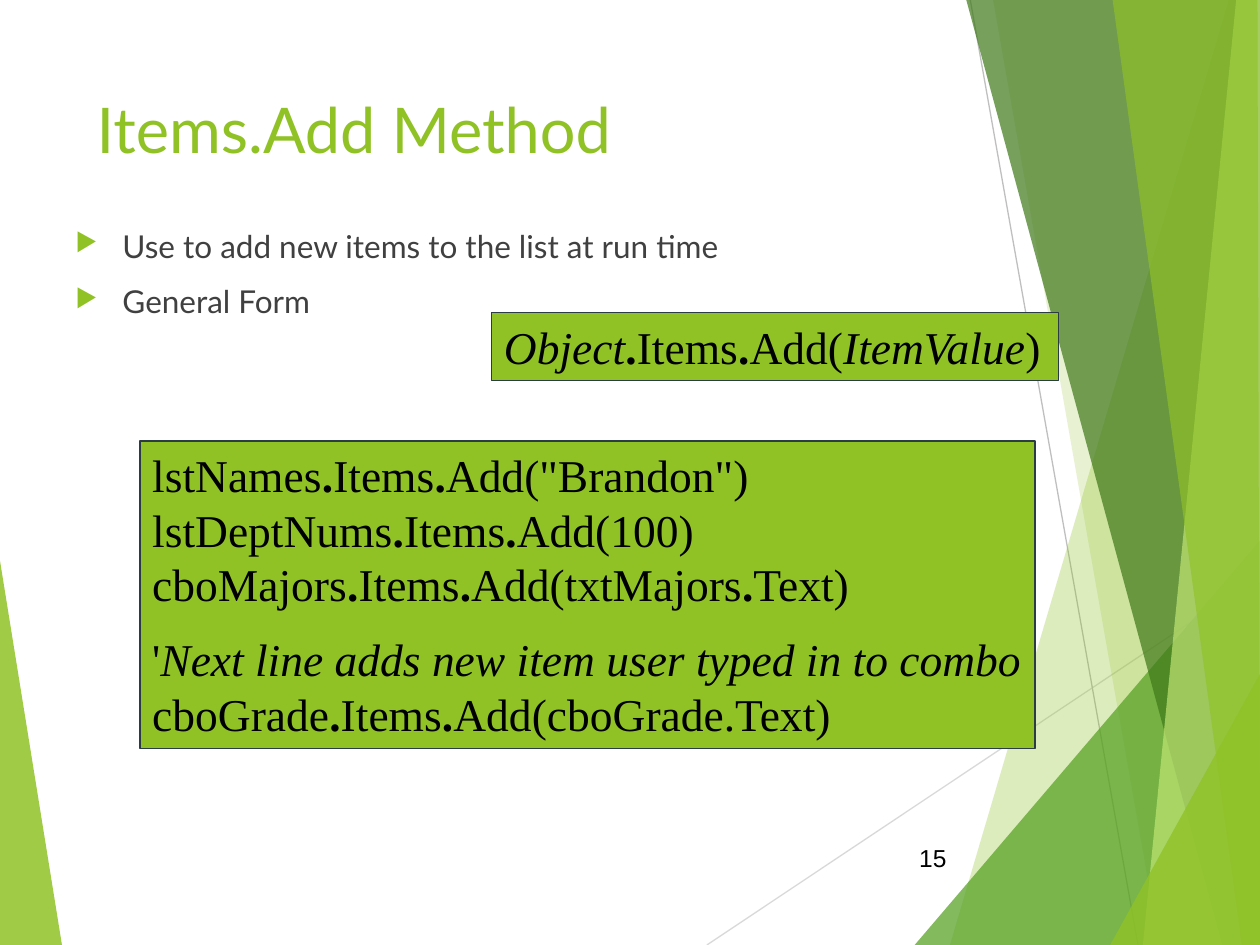
from dataclasses import dataclass
from typing import NamedTuple

from lxml import etree
from pptx import Presentation
from pptx.dml.color import RGBColor
from pptx.enum.shapes import MSO_CONNECTOR, MSO_SHAPE
from pptx.enum.text import MSO_ANCHOR, PP_ALIGN
from pptx.oxml.ns import qn
from pptx.util import Cm, Pt

STRAIGHT = MSO_CONNECTOR.STRAIGHT
RECTANGLE = MSO_SHAPE.RECTANGLE
TOP, MIDDLE = MSO_ANCHOR.TOP, MSO_ANCHOR.MIDDLE
LEFT, RIGHT = PP_ALIGN.LEFT, PP_ALIGN.RIGHT
W, H = 25.4, 19.05


@dataclass(frozen=True)
class Theme:
    lime: str = "90C226"
    green: str = "54A021"
    forest: str = "3F7819"
    pale: str = "C0E474"
    light_rule: str = "D9D9D9"
    dark_rule: str = "BFBFBF"
    border: str = "2C3C43"
    body: str = "404040"
    black: str = "000000"
    sans: str = "Lato"
    serif: str = "Times New Roman"
    number_font: str = "Arial"
    title_size: int = 36
    body_size: int = 18
    code_size: int = 26
    number_size: int = 14


THEME = Theme()


class Style(NamedTuple):
    font: str
    size: int
    color: str


class Run(NamedTuple):
    text: str
    bold: bool = False
    italic: bool = False


class Box(NamedTuple):
    left: float
    top: float
    width: float
    height: float

    def emu(self) -> list:
        return [Cm(v) for v in self]


class Facet(NamedTuple):
    points: list
    color: str
    opacity: int


class Rule(NamedTuple):
    start: tuple
    end: tuple
    color: str


class CodeBox(NamedTuple):
    box: Box
    lines: list
    gap_before: int = -1  # index of the line that opens a new block


def band(top_x: float, bottom_x: float, top_right: float = W) -> list:
    """Corners of a facet reaching from a slanted edge to the right side."""
    return [(top_x, 0), (bottom_x, H), (W, H), (top_right, 0)]


def call(*parts: Run) -> list:
    """Join the parts of a method call with bold dots."""
    runs = [parts[0]]
    for part in parts[1:]:
        runs += [Run(".", bold=True), part]
    return runs


def plain_call(*names: str) -> list:
    return call(*(Run(name) for name in names))


BACKDROP = [
    Facet([(0, 11.3), (1.25, H), (0, H)], THEME.lime, 85),
    Rule((14.25, H), (W, 11.61), THEME.light_rule),
    Rule((19.56, 0), (22.94, H), THEME.dark_rule),
    Facet(band(24.77, 19.15), THEME.lime, 30),
    Facet(band(20.02, 23.37), THEME.lime, 20),
    Facet([(18.44, H), (W, 10.9), (W, H)], THEME.green, 72),
    Facet(band(19.48, 24.64), THEME.forest, 70),
    Facet(band(24.92, 23.04), THEME.pale, 70),
    Facet(band(22.43, 25.04, 25.35), THEME.lime, 65),
    Facet([(22.38, H), (W, 13.59), (W, H)], THEME.lime, 80),
]

BULLETS = ["Use to add new items to the list at run time", "General Form"]

CODE_BOXES = [
    CodeBox(Box(9.91, 6.3, 11.43, 1.37), [
        call(Run("Object", italic=True), Run("Items"), Run("Add("))
        + [Run("ItemValue", italic=True), Run(")")],
    ]),
    CodeBox(Box(2.82, 8.89, 18.05, 6.2), [
        plain_call("lstNames", "Items", 'Add("Brandon")'),
        plain_call("lstDeptNums", "Items", "Add(100)"),
        plain_call("cboMajors", "Items", "Add(txtMajors", "Text)"),
        [Run("'"), Run("Next line adds new item user typed in to combo", italic=True)],
        plain_call("cboGrade", "Items", "Add(cboGrade.Text)"),
    ], gap_before=3),
]


def rgb(color: str) -> RGBColor:
    return RGBColor.from_string(color)


def draw_facet(slide, facet: Facet) -> None:
    start, *rest = [(Cm(x), Cm(y)) for x, y in facet.points]
    builder = slide.shapes.build_freeform(*start)
    builder.add_line_segments(rest, close=True)
    sp = builder.convert_to_shape()
    sp.shadow.inherit = False
    sp.line.fill.background()
    sp.fill.solid()
    sp.fill.fore_color.rgb = rgb(facet.color)
    color = sp._element.spPr.find(".//" + qn("a:srgbClr"))
    etree.SubElement(color, qn("a:alpha"), val=str(facet.opacity * 1000))


def draw_rule(slide, rule: Rule) -> None:
    ends = [Cm(v) for v in rule.start + rule.end]
    line = slide.shapes.add_connector(STRAIGHT, *ends)
    line.line.color.rgb = rgb(rule.color)
    line.line.width = Pt(0.75)
    etree.SubElement(line._element.spPr, qn("a:effectLst"))


def write(tf, lines: list, style: Style, align=LEFT) -> list:
    """Fill a text frame with lines of runs and return its paragraphs."""
    for i, runs in enumerate(lines):
        p = tf.paragraphs[0] if i == 0 else tf.add_paragraph()
        p.alignment = align
        for run in runs:
            r = p.add_run()
            r.text = run.text
            r.font.name, r.font.size = style.font, Pt(style.size)
            r.font.bold, r.font.italic = run.bold, run.italic
            r.font.color.rgb = rgb(style.color)
    return list(tf.paragraphs)


def add_text(slide, box: Box, lines: list, style: Style, align=LEFT, anchor=TOP) -> list:
    tf = slide.shapes.add_textbox(*box.emu()).text_frame
    tf.word_wrap = True
    tf.vertical_anchor = anchor
    return write(tf, lines, style, align)


def add_bullet(p) -> None:
    p.space_before = Pt(10)
    pPr = p._p.get_or_add_pPr()
    pPr.set("marL", str(Cm(0.95)))
    pPr.set("indent", str(-Cm(0.95)))
    color = etree.SubElement(pPr, qn("a:buClr"))
    etree.SubElement(color, qn("a:srgbClr"), val=THEME.lime)
    etree.SubElement(pPr, qn("a:buSzPct"), val="80000")
    etree.SubElement(pPr, qn("a:buChar"), char="▶")


def draw_code_box(slide, code: CodeBox) -> None:
    sp = slide.shapes.add_shape(RECTANGLE, *code.box.emu())
    sp.shadow.inherit = False
    sp.fill.solid()
    sp.fill.fore_color.rgb = rgb(THEME.lime)
    sp.line.color.rgb = rgb(THEME.border)
    sp.line.width = Pt(1)
    tf = sp.text_frame
    tf.word_wrap = False
    tf.vertical_anchor = TOP
    style = Style(THEME.serif, THEME.code_size, THEME.black)
    paragraphs = write(tf, code.lines, style)
    if code.gap_before > 0:
        paragraphs[code.gap_before].space_before = Pt(11.5)


def main() -> None:
    prs = Presentation()
    prs.slide_width, prs.slide_height = Cm(W), Cm(H)
    slide = prs.slides.add_slide(prs.slide_layouts[6])
    for item in BACKDROP:
        if isinstance(item, Facet):
            draw_facet(slide, item)
        else:
            draw_rule(slide, item)
    add_text(slide, Box(1.7, 1.7, 17.63, 3.66), [[Run("Items.Add Method")]],
             Style(THEME.sans, THEME.title_size, THEME.lime))
    for p in add_text(slide, Box(1.27, 4.45, 22.86, 4.45), [[Run(b)] for b in BULLETS],
                      Style(THEME.sans, THEME.body_size, THEME.body)):
        add_bullet(p)
    add_text(slide, Box(17.91, 16.79, 1.42, 1.02), [[Run("15")]],
             Style(THEME.number_font, THEME.number_size, THEME.black), RIGHT, MIDDLE)
    for code in CODE_BOXES:
        draw_code_box(slide, code)
    prs.save("out.pptx")


if __name__ == "__main__":
    main()
